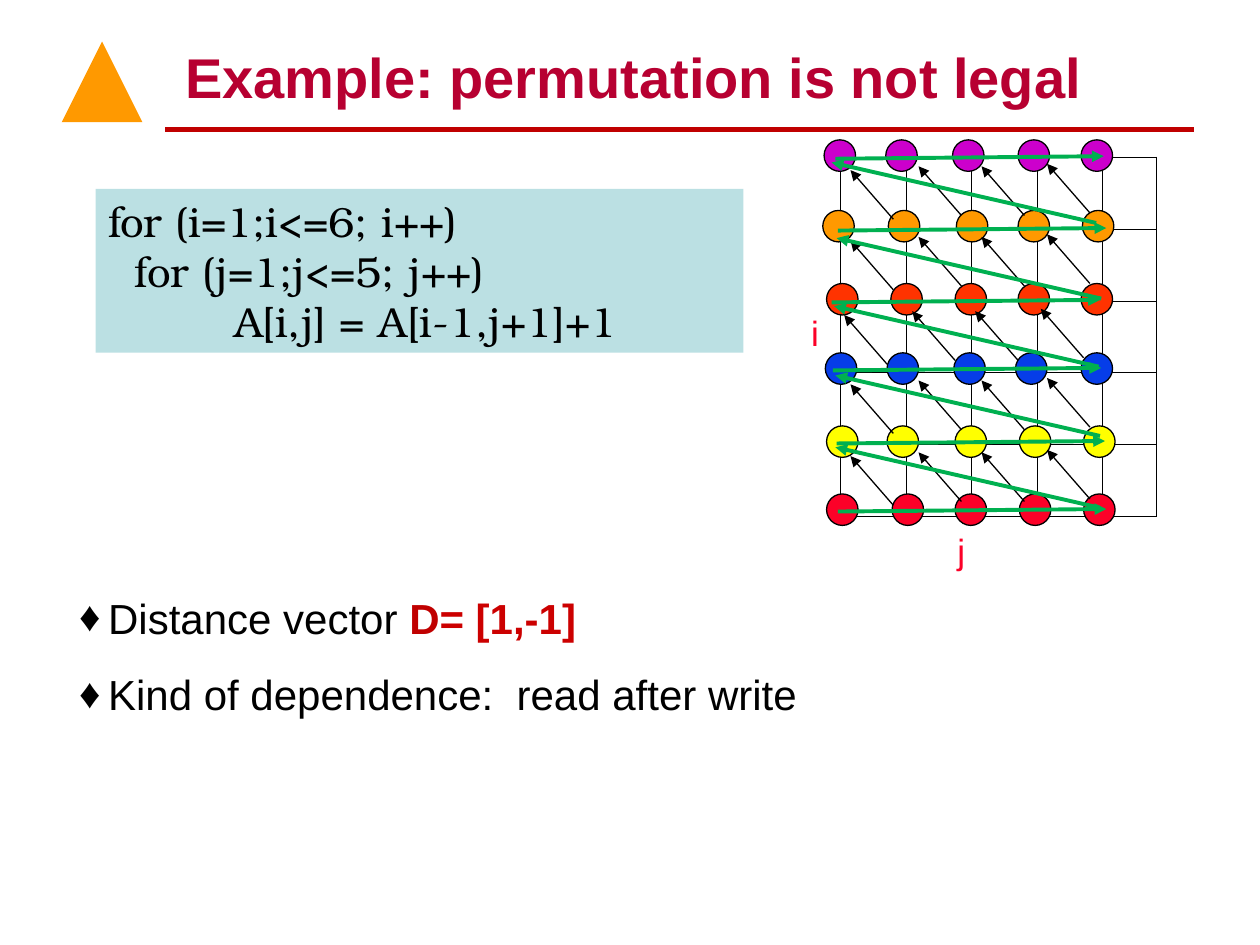
from pptx import Presentation
from pptx.dml.color import RGBColor
from pptx.enum.shapes import MSO_CONNECTOR as Connector, MSO_SHAPE as Preset
from pptx.enum.text import MSO_ANCHOR as Anchor, PP_ALIGN as Align
from pptx.oxml.ns import qn
from pptx.util import Inches, Pt
from lxml.etree import SubElement

BLACK = RGBColor(0x00, 0x00, 0x00)
CRIMSON = RGBColor(0xB7, 0x00, 0x31)
DARK_RED = RGBColor(0xC0, 0x00, 0x00)
VECTOR_RED = RGBColor(0xCC, 0x00, 0x00)
RED = RGBColor(0xFC, 0x01, 0x28)
YELLOW = RGBColor(0xFF, 0xFF, 0x00)
BLUE = RGBColor(0x06, 0x3D, 0xE8)
VERMILION = RGBColor(0xFF, 0x33, 0x00)
ORANGE = RGBColor(0xFF, 0x99, 0x00)
PURPLE = RGBColor(0xCC, 0x00, 0xCC)
GREEN = RGBColor(0x00, 0xB0, 0x50)
PALE_BLUE = RGBColor(0xBB, 0xE0, 0xE3)

ITERATIONS = [
    (RED, 3.92, [6.56, 7.08, 7.58, 8.09, 8.60]),
    (YELLOW, 3.38, [6.56, 7.04, 7.58, 8.09, 8.60]),
    (BLUE, 2.80, [6.55, 7.04, 7.57, 8.06, 8.58]),
    (VERMILION, 2.25, [6.56, 7.07, 7.58, 8.08, 8.58]),
    (ORANGE, 1.67, [6.53, 7.05, 7.59, 8.08, 8.59]),
    (PURPLE, 1.11, [6.54, 7.03, 7.56, 8.08, 8.58]),
]
DEPENDENCE_COLUMNS = [(6.75, 0.05), (7.29, 0.02), (7.79, 0.02), (8.31, 0)]
DEPENDENCE_ROWS = [(0, 3.57), (0, 3.00), (-0.05, 2.45), (0, 1.86), (0, 1.30)]
SWEEPS = [(8.78, 4.04), (8.77, 3.50), (8.74, 2.92), (8.73, 2.38), (8.78, 1.81), (8.76, 1.24)]
RETURNS = [(6.63, 3.55), (6.63, 2.98), (6.62, 2.43), (6.64, 1.89), (6.60, 1.29)]


def write(paragraph, text, font="Arial", size=24, color=BLACK, bold=False):
    for index, line in enumerate(text.split("\n")):
        if index:
            paragraph.add_line_break()
        run = paragraph.add_run()
        run.text = line
        run.font.name = font
        run.font.size = Pt(size)
        run.font.color.rgb = color
        run.font.bold = bold


class SlideBuilder:
    font = "Arial"
    code_font = "TeX Gyre Bonum"

    def __init__(self, slide):
        self.slide = slide
        self.shapes = slide.shapes

    def title(self, text, *box):
        heading = self.shapes.title
        heading.left, heading.top, heading.width, heading.height = map(Inches, box)
        heading.text_frame.vertical_anchor = Anchor.BOTTOM
        paragraph = heading.text_frame.paragraphs[0]
        paragraph.alignment = Align.LEFT
        write(paragraph, text, self.font, 32, CRIMSON, True)

    def shape(self, preset, fill, *box, line=None, width=0.75):
        item = self.shapes.add_shape(preset, *map(Inches, box))
        item.shadow.inherit = False
        item.fill.solid()
        item.fill.fore_color.rgb = fill
        if line is None:
            item.line.fill.background()
        else:
            item.line.color.rgb = line
            item.line.width = Pt(width)
        return item

    def line(self, start, end, color, width, arrow=True):
        item = self.shapes.add_connector(Connector.STRAIGHT, *map(Inches, (*start, *end)))
        item.line.color.rgb = color
        item.line.width = Pt(width)
        properties = item._element.spPr
        if arrow:
            SubElement(properties.find(qn("a:ln")), qn("a:headEnd"), type="triangle")
        SubElement(properties, qn("a:effectLst"))

    def label(self, text, *box):
        frame = self.shapes.add_textbox(*map(Inches, box)).text_frame
        frame.word_wrap = False
        write(frame.paragraphs[0], text, self.font, 20, RED)

    def code(self, paragraphs, *box):
        frame = self.shape(Preset.RECTANGLE, PALE_BLUE, *box).text_frame
        frame.word_wrap = True
        frame.vertical_anchor = Anchor.TOP
        for index, text in enumerate(paragraphs):
            paragraph = frame.add_paragraph() if index else frame.paragraphs[0]
            paragraph.alignment = Align.LEFT
            tabs = SubElement(paragraph._p.get_or_add_pPr(), qn("a:tabLst"))
            SubElement(tabs, qn("a:tab"), pos=str(Inches(1)), algn="l")
            write(paragraph, text, self.code_font)

    def bullets(self, items, *box):
        frame = self.shapes.add_textbox(*map(Inches, box)).text_frame
        frame.word_wrap = True
        for index, parts in enumerate(items):
            paragraph = frame.add_paragraph() if index else frame.paragraphs[0]
            properties = paragraph._p.get_or_add_pPr()
            properties.set("marL", str(Inches(0.23)))
            properties.set("indent", str(-Inches(0.23)))
            SubElement(properties, qn("a:buFont"), typeface=self.font)
            SubElement(properties, qn("a:buChar"), char="♦")
            if index:
                paragraph.space_before = Pt(10)
            paragraph.space_after = Pt(5)
            for text, color, bold in parts:
                write(paragraph, text, self.font, color=color, bold=bold)

    def grid(self, left, top, widths, heights):
        rows, columns = len(heights), len(widths)
        table = self.shapes.add_table(
            rows, columns, Inches(left), Inches(top), Inches(sum(widths)), Inches(sum(heights))
        ).table
        table.first_row = table.horz_banding = False
        for column, width in zip(table.columns, widths):
            column.width = Inches(width)
        for r, height in enumerate(heights):
            table.rows[r].height = Inches(height)
            for c in range(columns):
                cell = table.cell(r, c)
                outer = {"a:lnL": c == 0, "a:lnR": c == columns - 1,
                         "a:lnT": r == 0, "a:lnB": r == rows - 1}
                for side, is_outer in outer.items():
                    edge = SubElement(cell._tc.get_or_add_tcPr(), qn(side),
                                      w=str(Pt(1.08 if is_outer else 0.45)))
                    SubElement(SubElement(edge, qn("a:solidFill")), qn("a:srgbClr"), val=str(BLACK))
                cell.fill.background()


def main():
    deck = Presentation()
    deck.slide_width, deck.slide_height = Inches(10), Inches(7.5)
    page = SlideBuilder(deck.slides.add_slide(deck.slide_layouts[5]))

    page.line((1.31, 1.03), (9.48, 1.03), DARK_RED, 3, arrow=False)
    page.shape(Preset.ISOSCELES_TRIANGLE, ORANGE, 0.49, 0.33, 0.64, 0.64)
    page.title("Example: permutation is not legal", 1.37, 0.25, 8, 0.67)
    page.bullets([
        [("Distance vector ", BLACK, False), ("D", DARK_RED, True), ("= [1,-1]", VECTOR_RED, True)],
        [("Kind of dependence:  read after write", BLACK, False)],
    ], 0.53, 4.65, 8.95, 2.35)
    page.code(["for (i=1;i<=6; i++)", "  for (j=1;j<=5; j++)\n\tA[i,j] = A[i-1,j+1]+1"],
              0.76, 1.5, 5.14, 1.3)

    page.grid(6.67, 1.25, [0.52] * 4 + [0.43], [0.57] * 5)
    for color, top, lefts in ITERATIONS:
        for left in lefts:
            page.shape(Preset.OVAL, color, left, top, 0.25, 0.25, line=BLACK)
    for shift, base in DEPENDENCE_ROWS:
        for column, drop in DEPENDENCE_COLUMNS:
            x, y = column + shift, base + drop
            page.line((x, y), (x + 0.34, y + 0.39), BLACK, 0.75)
    page.label("j", 7.5, 4.15, 0.26, 0.44)
    page.label("i", 6.34, 2.42, 0.26, 0.44)
    for x, y in SWEEPS:
        page.line((x, y), (x - 2.13, y + 0.02), GREEN, 2.25)
    for x, y in RETURNS:
        page.line((x, y), (x + 2.1, y + 0.48), GREEN, 2.25)

    deck.save("out.pptx")


if __name__ == "__main__":
    main()
